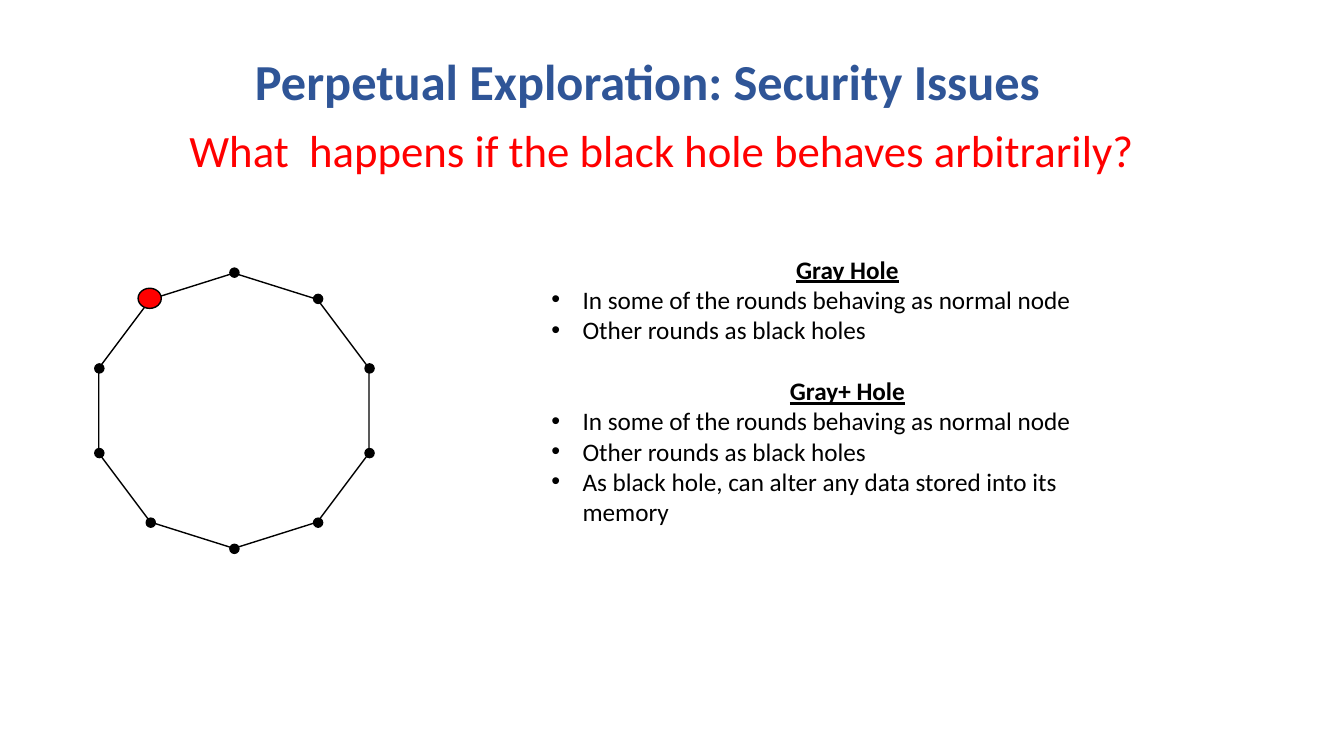
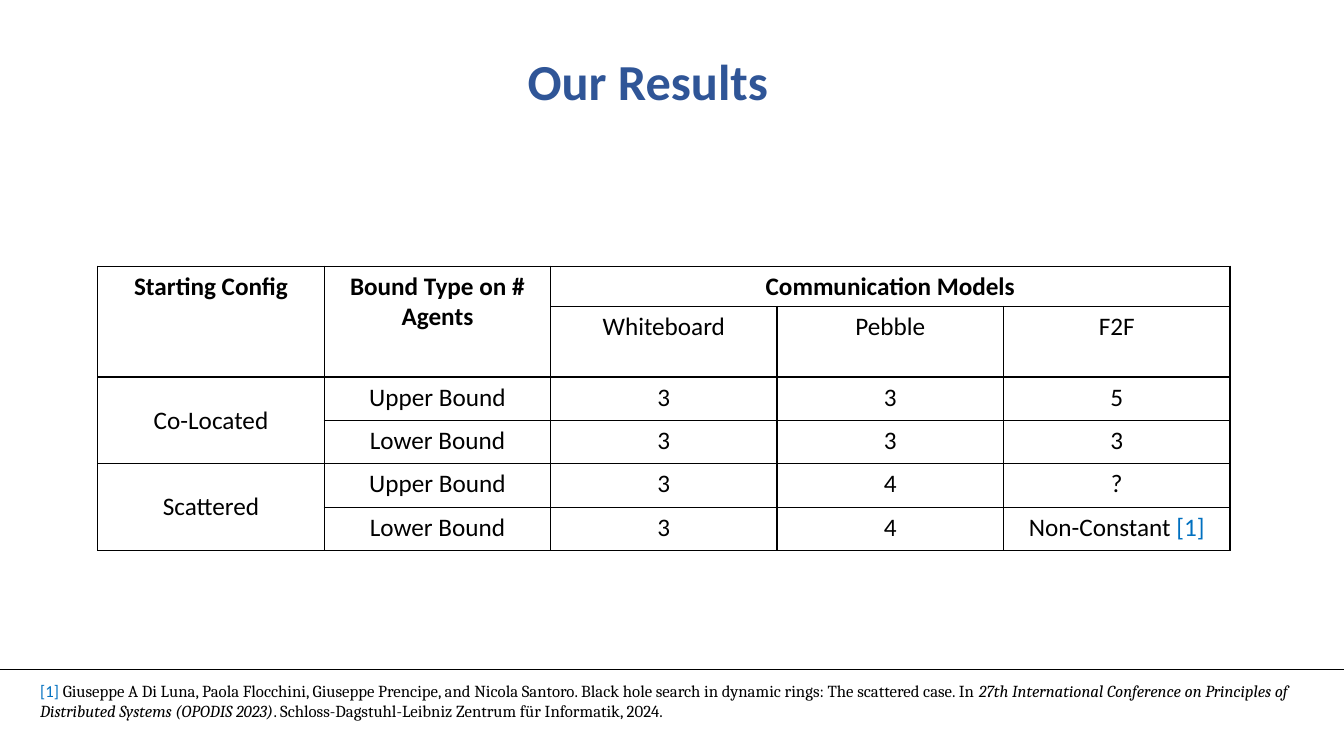
from dataclasses import dataclass, field
from math import cos, radians, sin

from lxml.etree import SubElement as Sub
from pptx import Presentation
from pptx.dml.color import RGBColor
from pptx.enum.shapes import MSO_CONNECTOR as Link, MSO_SHAPE as Form
from pptx.enum.text import MSO_ANCHOR as Anchor, PP_ALIGN as Align
from pptx.oxml.ns import qn
from pptx.util import Emu, Pt

UNIT = 9144
BLACK = RGBColor(0x00, 0x00, 0x00)
RED = RGBColor(0xFF, 0x00, 0x00)
NAVY = RGBColor(0x2F, 0x55, 0x97)
BLUE = RGBColor(0x00, 0x70, 0xC0)

TITLE = {"size": Pt(36), "name": "Calibri", "bold": True}
ASK = {"size": Pt(32), "name": "Calibri"}
PLAIN = {"size": Pt(18), "name": "Calibri"}
BOLD = {**PLAIN, "bold": True}
HEAD = {**BOLD, "underline": True}
TAG = {"size": Pt(12), "name": "Calibri"}
CITE = {"size": Pt(12), "name": "Cambria"}
TALK = {**CITE, "italic": True}


def px(num: float) -> Emu:
    return Emu(round(num * UNIT))


@dataclass
class Run:
    text: str
    look: dict = field(default_factory=lambda: PLAIN)
    color: RGBColor = BLACK


@dataclass
class Para:
    runs: list[Run]
    align: Align = Align.LEFT
    bullet: bool = False
    above: int = 0


@dataclass
class Box:
    left: int
    top: int
    width: int
    height: int

    def emu(self) -> list[Emu]:
        return [px(num) for num in (self.left, self.top, self.width, self.height)]


@dataclass
class Span:
    row: int
    col: int
    down: int
    over: int


TOP = Box(65, 45, 1155, 71)
LIST = [
    Para([Run("Gray Hole", HEAD)], Align.CENTER),
    Para([Run("In some of the rounds behaving as normal node")], bullet=True),
    Para([Run("Other rounds as black holes")], bullet=True),
    Para([Run("Gray+ Hole", HEAD)], Align.CENTER, above=22),
    Para([Run("In some of the rounds behaving as normal node")], bullet=True),
    Para([Run("Other rounds as black holes")], bullet=True),
    Para([Run("As black hole, can alter any data stored into its memory")], bullet=True),
]
ROWS = [
    ["Starting Config", "Bound Type on # Agents", "Communication Models", "", ""],
    ["", "", "Whiteboard", "Pebble", "F2F"],
    ["Co-Located", "Upper Bound", "3", "3", "5"],
    ["", "Lower Bound", "3", "3", "3"],
    ["Scattered", "Upper Bound", "3", "4", "?"],
    ["", "Lower Bound", "3", "4", "Non-Constant [1]"],
]
HIGH = [40, 70, 43, 43, 43, 43]
SPANS = [Span(0, 0, 2, 1), Span(0, 1, 2, 1), Span(0, 2, 1, 3),
         Span(2, 0, 2, 1), Span(4, 0, 2, 1)]
NOTE = Para([
    Run("[1] ", TAG, BLUE),
    Run("Giuseppe A Di Luna, Paola Flocchini, Giuseppe Prencipe, and Nicola Santoro. "
        "Black hole search in dynamic rings: The scattered case. In ", CITE),
    Run("27th International Conference on Principles of Distributed Systems "
        "(OPODIS 2023)", TALK),
    Run(". Schloss-Dagstuhl-Leibniz Zentrum für Informatik, 2024.", CITE),
])


def write(frame, paras: list[Para]) -> None:
    for num, para in enumerate(paras):
        line = frame.add_paragraph() if num else frame.paragraphs[0]
        line.alignment = para.align
        if para.above:
            line.space_before = Pt(para.above)
        if para.bullet:
            props = line._p.get_or_add_pPr()
            props.set("marL", str(px(31)))
            props.set("indent", str(px(-31)))
            Sub(props, qn("a:buFont"), typeface="Arial")
            Sub(props, qn("a:buChar"), char="•")
        for part in para.runs:
            run = line.add_run()
            run.text = part.text
            for key, val in part.look.items():
                setattr(run.font, key, val)
            run.font.color.rgb = part.color


def text(slide, box: Box, paras: list[Para]) -> None:
    frame = slide.shapes.add_textbox(*box.emu()).text_frame
    frame.word_wrap = True
    write(frame, paras)


def title(slide, words: str) -> None:
    text(slide, TOP, [Para([Run(words, TITLE, NAVY)], Align.CENTER)])


def shape(slide, form: Form, box: Box, fill: RGBColor | None = None):
    item = slide.shapes.add_shape(form, *box.emu())
    item.shadow.inherit = False
    if fill is None:
        item.fill.background()
    else:
        item.fill.solid()
        item.fill.fore_color.rgb = fill
    item.line.color.rgb = BLACK
    item.line.width = Pt(1)
    return item


def ring(slide) -> None:
    star = shape(slide, Form.STAR_5_POINT, Box(98, 271, 268, 247))
    star.adjustments[0] = 0.5
    for step in range(10):
        turn = radians(36 * step)
        mid = round(232 + 141 * sin(turn)), round(407 - 137 * cos(turn))
        shape(slide, Form.OVAL, Box(mid[0] - 4, mid[1] - 4, 9, 9), BLACK)
    shape(slide, Form.OVAL, Box(137, 286, 23, 20), RED)


def border(cell) -> None:
    props = cell._tc.get_or_add_tcPr()
    for side in ("lnL", "lnR", "lnT", "lnB"):
        edge = Sub(props, qn(f"a:{side}"), w=str(Pt(1)))
        fill = Sub(edge, qn("a:solidFill"))
        Sub(fill, qn("a:srgbClr"), val=str(BLACK))


def grid(slide) -> None:
    box = Box(97, 264, 1123, sum(HIGH))
    table = slide.shapes.add_table(len(ROWS), len(ROWS[0]), *box.emu()).table
    table.first_row = table.horz_banding = False
    for col in table.columns:
        col.width = px(box.width / len(ROWS[0]))
    for row, high in zip(table.rows, HIGH):
        row.height = px(high)
    for r, row in enumerate(ROWS):
        for c, words in enumerate(row):
            cell = table.cell(r, c)
            border(cell)
            cell.fill.background()
            if words:
                body, mark, _ = words.partition("[1]")
                runs = [Run(body, PLAIN if r else BOLD)]
                if mark:
                    runs.append(Run(mark, color=BLUE))
                write(cell.text_frame, [Para(runs, Align.CENTER)])
    for span in SPANS:
        cell = table.cell(span.row, span.col)
        cell.merge(table.cell(span.row + span.down - 1, span.col + span.over - 1))
        if span.row:
            cell.vertical_anchor = Anchor.MIDDLE


def rule(slide) -> None:
    line = slide.shapes.add_connector(Link.STRAIGHT, px(0), px(664), px(1333), px(664))
    line.line.color.rgb = BLACK
    line.line.width = Pt(0.5)
    Sub(line._element.spPr, qn("a:effectLst"))


def holes(slide) -> None:
    title(slide, "Perpetual Exploration: Security Issues")
    ask = "What  happens if the black hole behaves arbitrarily?"
    text(slide, Box(178, 117, 1155, 64), [Para([Run(ask, ASK, RED)])])
    text(slide, Box(537, 247, 607, 343), LIST)
    ring(slide)


def results(slide) -> None:
    title(slide, "Our Results")
    grid(slide)
    rule(slide)
    text(slide, Box(30, 670, 1303, 50), [NOTE])


def main() -> None:
    deck = Presentation()
    deck.slide_width, deck.slide_height = px(1333), px(750)
    for draw in (holes, results):
        draw(deck.slides.add_slide(deck.slide_layouts[6]))
    deck.save("out.pptx")


if __name__ == "__main__":
    main()
